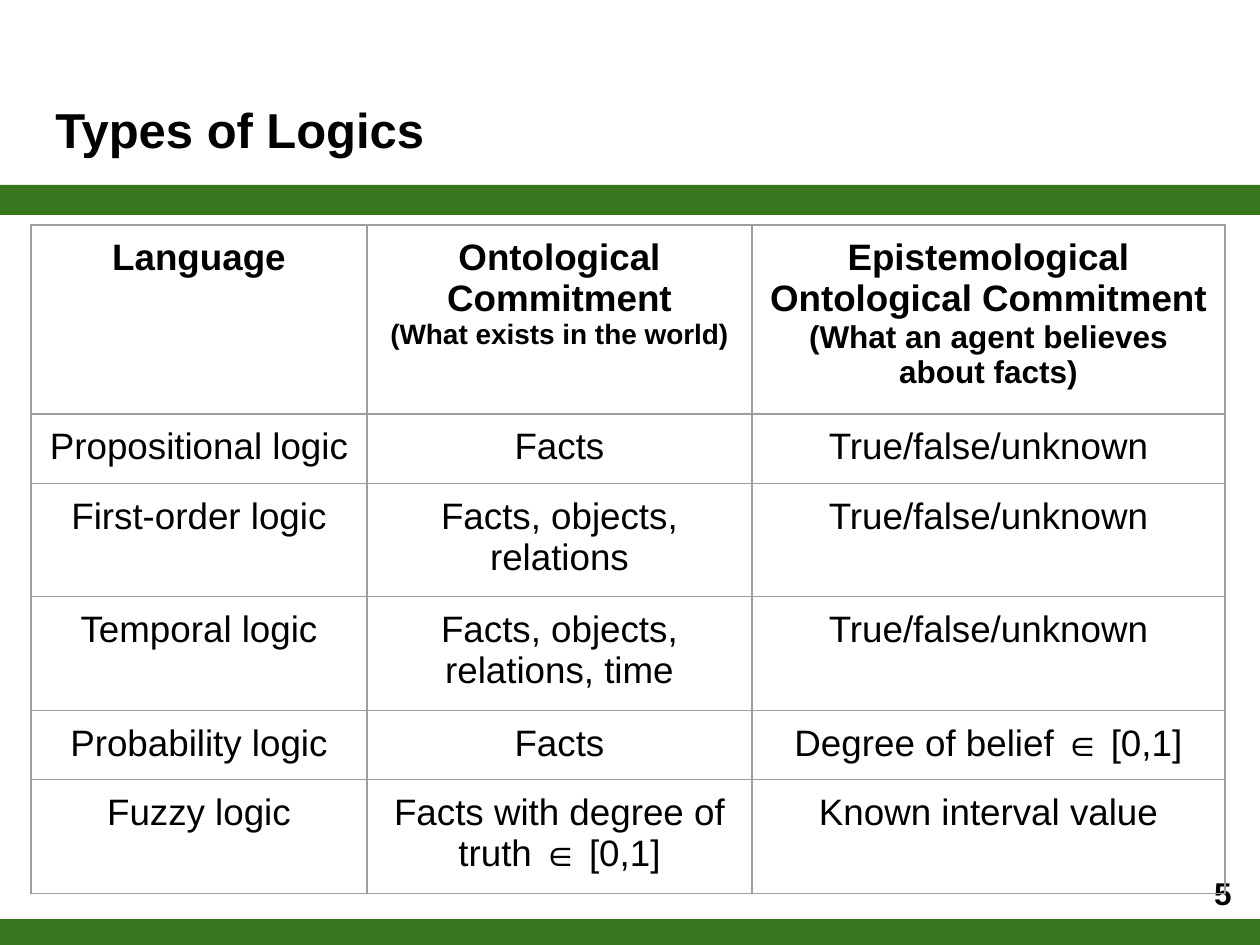
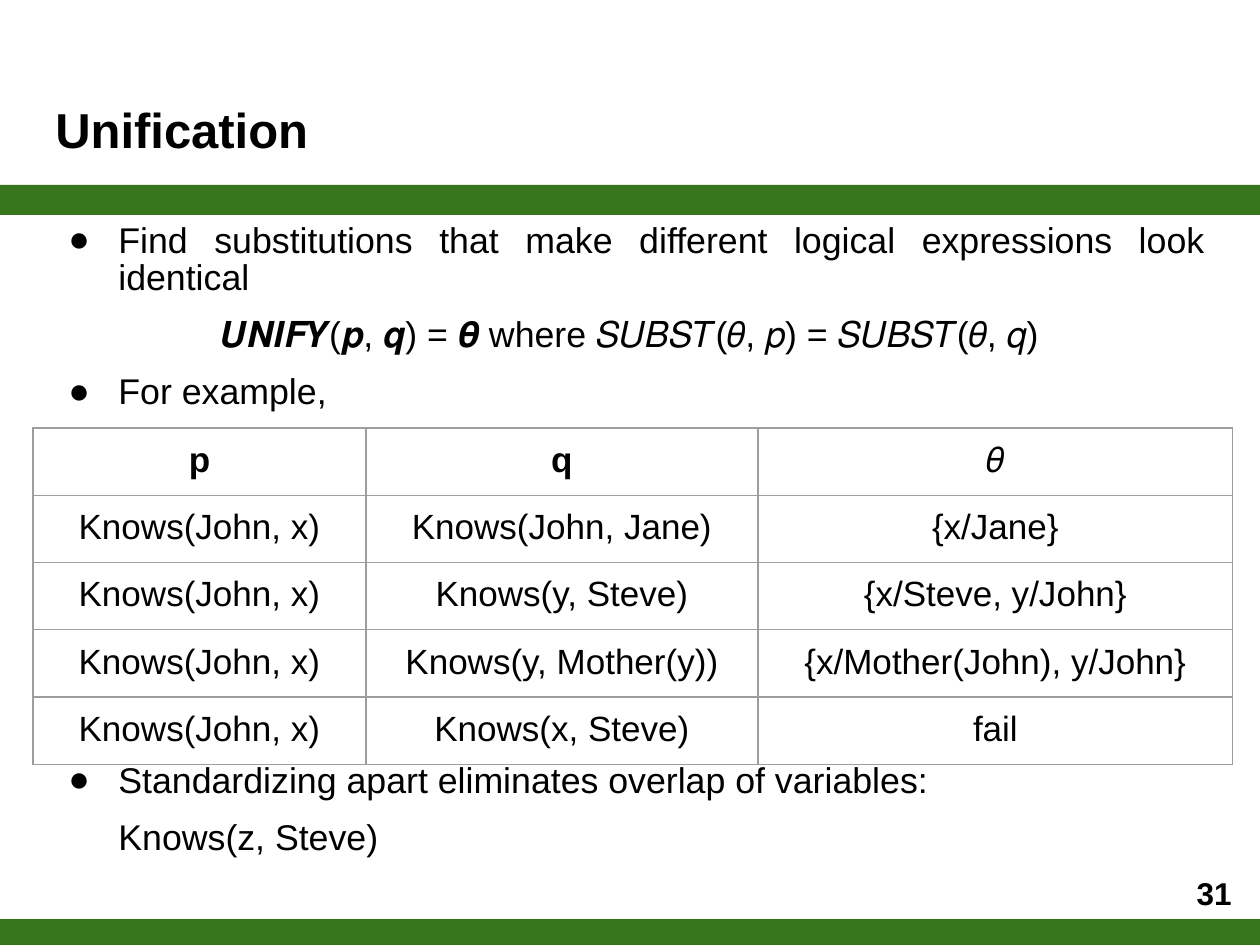
import pptx
import pptx.dml.color
import pptx.enum.shapes
import pptx.enum.text
import pptx.oxml
import pptx.oxml.ns
import pptx.util
from lxml import etree

RGBColor = pptx.dml.color.RGBColor
ALIGN = pptx.enum.text.PP_ALIGN
ANCHOR = pptx.enum.text.MSO_ANCHOR
BLACK = RGBColor(0x00, 0x00, 0x00)
GREEN = RGBColor(0x38, 0x76, 0x1D)
GRAY = RGBColor(0x9E, 0x9E, 0x9E)
FONT = "Arial"
SLIDE_W, SLIDE_H = 1260, 945
BAND_H = 30
INSET = 0.1


def px(n):
    return round(n * 914400 / 126)


def add_sub(parent, tag, **attrs):
    child = etree.SubElement(parent, pptx.oxml.ns.qn(tag))
    for name, value in attrs.items():
        child.set(name, str(value))
    return child


def write(tf, text, size=20, bold=False, align=ALIGN.LEFT, line=None,
          before=0, after=0, indent=0, hang=0, bullet=None):
    p = tf.paragraphs[0]
    if p.runs:
        p = tf.add_paragraph()
    p.alignment = align
    p.space_before = pptx.util.Pt(before)
    p.space_after = pptx.util.Pt(after)
    if line:
        p.line_spacing = line
    pPr = p._p.get_or_add_pPr()
    pPr.set("marL", str(px(indent)))
    pPr.set("indent", str(-px(hang)))
    if bullet:
        color = add_sub(pPr, "a:buClr")
        add_sub(color, "a:srgbClr", val=BLACK)
        add_sub(pPr, "a:buFont", typeface=FONT)
        add_sub(pPr, "a:buChar", char=bullet)
    else:
        add_sub(pPr, "a:buNone")
    r = p.add_run()
    r.text = text
    r.font.name = FONT
    r.font.size = pptx.util.Pt(size)
    r.font.bold = bold
    r.font.color.rgb = BLACK


class Deck:
    def __init__(self):
        self.prs = pptx.Presentation()
        self.prs.slide_width = px(SLIDE_W)
        self.prs.slide_height = px(SLIDE_H)
        self.slide = None

    def add_slide(self, title, number):
        self.slide = self.prs.slides.add_slide(self.prs.slide_layouts[6])
        for top in (919, 185):
            self.band(top)
        tf = self.text_box(43, 82, 1174, 104, ANCHOR.MIDDLE)
        write(tf, title, size=28, bold=True, line=0.8)
        tf = self.text_box(1168, 857, 76, 72, ANCHOR.MIDDLE)
        write(tf, str(number), size=18, bold=True, align=ALIGN.RIGHT)

    def band(self, top):
        sp = self.slide.shapes.add_shape(
            pptx.enum.shapes.MSO_SHAPE.RECTANGLE,
            0, px(top), px(SLIDE_W), px(BAND_H))
        sp.shadow.inherit = False
        sp.fill.solid()
        sp.fill.fore_color.rgb = GREEN
        sp.line.fill.background()

    def text_box(self, x, y, w, h, anchor=ANCHOR.TOP):
        sp = self.slide.shapes.add_textbox(px(x), px(y), px(w), px(h))
        tf = sp.text_frame
        tf.word_wrap = True
        tf.vertical_anchor = anchor
        tf.margin_left = tf.margin_right = pptx.util.Inches(INSET)
        tf.margin_top = tf.margin_bottom = pptx.util.Inches(INSET)
        return tf

    def table(self, x, y, cols, heights, rows, size):
        frame = self.slide.shapes.add_table(
            len(rows), len(cols), px(x), px(y), px(sum(cols)), px(sum(heights)))
        tbl = frame.table
        tbl.first_row = tbl.horz_banding = False
        for col, width in zip(tbl.columns, cols):
            col.width = px(width)
        for i, (row, height) in enumerate(zip(rows, heights)):
            tbl.rows[i].height = px(height)
            for j, content in enumerate(row):
                self.cell(tbl.cell(i, j), content, size, bold=i == 0)

    def cell(self, cell, content, size, bold):
        cell.margin_left = cell.margin_right = pptx.util.Inches(INSET)
        cell.margin_top = cell.margin_bottom = pptx.util.Inches(INSET)
        text, *notes = content if isinstance(content, tuple) else (content,)
        write(cell.text_frame, text, size=size, bold=bold, align=ALIGN.CENTER)
        for note, note_size in notes:
            write(cell.text_frame, note, size=note_size, bold=bold,
                  align=ALIGN.CENTER)
        tcPr = cell._tc.get_or_add_tcPr()
        for side in ("a:lnL", "a:lnR", "a:lnT", "a:lnB"):
            ln = add_sub(tcPr, side, w=pptx.util.Pt(0.75))
            add_sub(add_sub(ln, "a:solidFill"), "a:srgbClr", val=GRAY)
        cell.fill.background()


def types_of_logics(deck):
    deck.add_slide("Types of Logics", 5)
    rows = [
        ("Language",
         ("Ontological Commitment", ("(What exists in the world)", 16)),
         ("Epistemological Ontological Commitment",
          ("(What an agent believes about facts)", 18))),
        ("Propositional logic", "Facts", "True/false/unknown"),
        ("First-order logic", "Facts, objects, relations", "True/false/unknown"),
        ("Temporal logic", "Facts, objects, relations, time",
         "True/false/unknown"),
        ("Probability logic", "Facts", "Degree of belief ∈ [0,1]"),
        ("Fuzzy logic", "Facts with degree of truth ∈ [0,1]",
         "Known interval value"),
    ]
    one_line, two_lines = 69, 112
    heights = [188, one_line, two_lines, two_lines, one_line, two_lines]
    deck.table(31, 225, [336, 385, 473], heights, rows, size=21)


def unification(deck):
    deck.add_slide("Unification", 31)
    tf = deck.text_box(43, 212, 1174, 697)
    body = dict(size=20.4, line=0.85, align=ALIGN.JUSTIFY)
    item = dict(body, indent=63, hang=50, bullet="●")
    formula = dict(body, align=ALIGN.CENTER)
    write(tf, "Find substitutions that make different logical expressions "
          "look identical", **item)
    write(tf, "𝑼𝑵𝑰𝑭𝒀(𝒑, 𝒒) = 𝜽 where 𝑆𝑈𝐵𝑆𝑇(𝜃, 𝑝) = 𝑆𝑈𝐵𝑆𝑇(𝜃, 𝑞)",
          before=12, **formula)
    write(tf, "For example,", before=12, **item)
    write(tf, "Standardizing apart eliminates overlap of variables:",
          before=201, **item)
    write(tf, "Knows(z, Steve)", before=12, after=12, indent=63, **body)
    known = "Knows(John, x)"
    rows = [
        ("p", "q", "𝜃"),
        (known, "Knows(John, Jane)", "{x/Jane}"),
        (known, "Knows(y, Steve)", "{x/Steve, y/John}"),
        (known, "Knows(y, Mother(y))", "{x/Mother(John), y/John}"),
        (known, "Knows(x, Steve)", "fail"),
    ]
    deck.table(33, 428, [333, 392, 475], [64] * len(rows), rows, size=20)


def main():
    deck = Deck()
    types_of_logics(deck)
    unification(deck)
    deck.prs.save("out.pptx")


if __name__ == "__main__":
    main()
